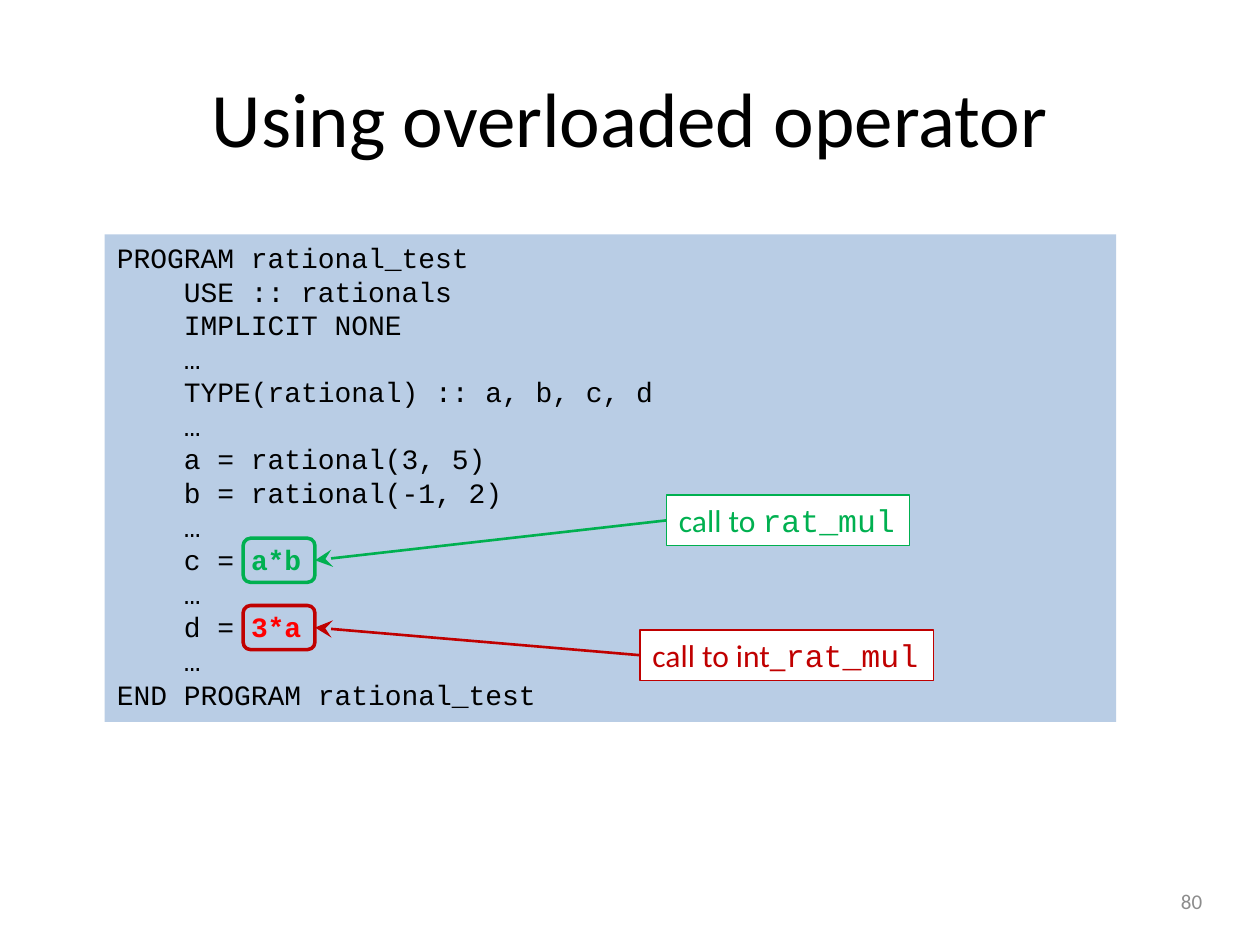
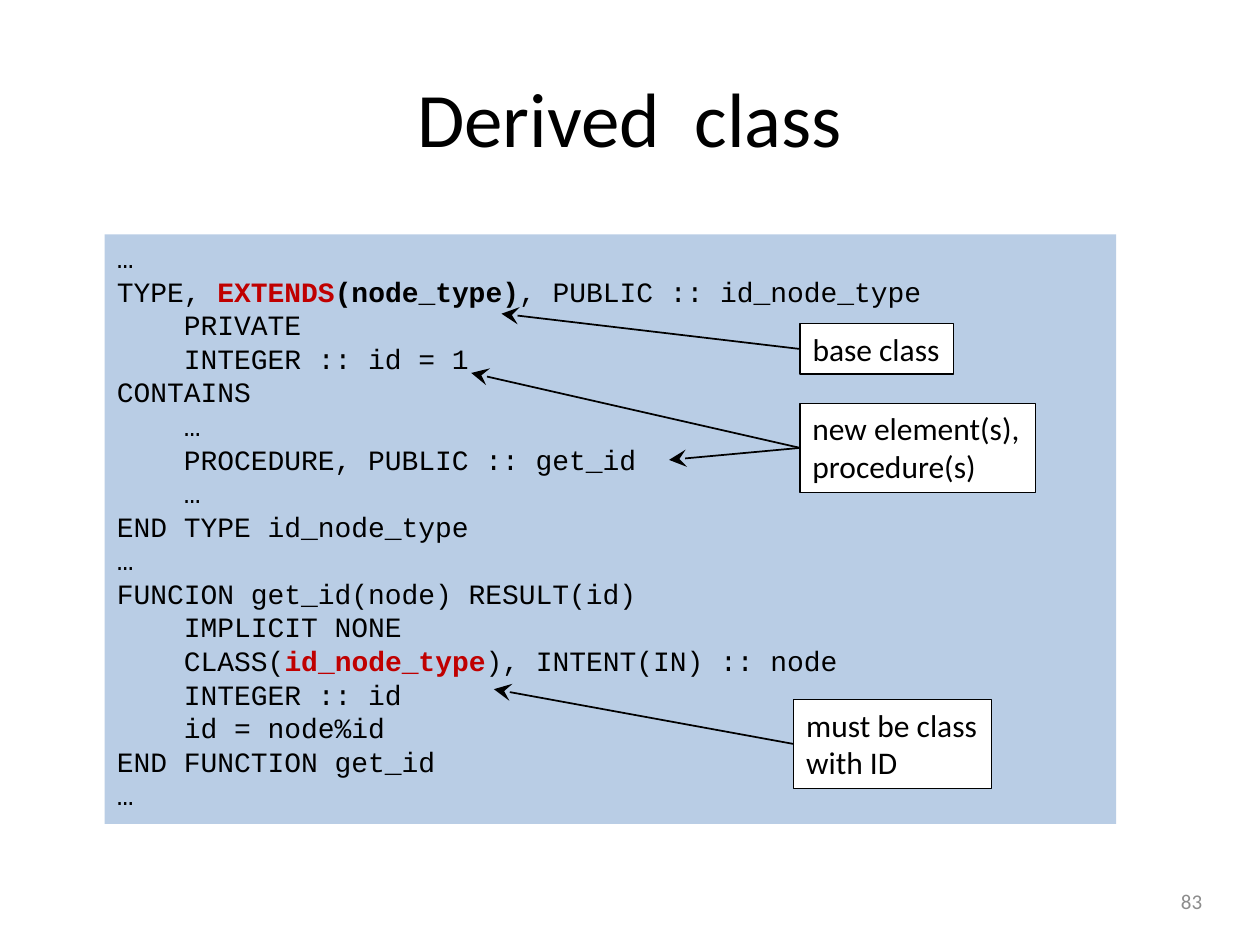
from lxml.etree import SubElement
from pptx import Presentation
from pptx.dml.color import RGBColor
from pptx.enum.shapes import MSO_CONNECTOR as Connector, MSO_SHAPE as Preset
from pptx.enum.text import MSO_ANCHOR as Anchor, MSO_AUTO_SIZE as AutoSize, PP_ALIGN as Align
from pptx.oxml.ns import qn
from pptx.util import Inches, Pt

COLOURS = {
    "black": "000000", "white": "FFFFFF", "grey": "8C8C8C", "code": "B9CDE5",
    "green": "00B050", "red": "FF0000", "dark_red": "C00000",
}
BODY, MONO = "Calibri", "Courier New"

# A code line is a string, or a list whose (text, colour) pairs are bold.
# A callout points at the ring round a code row, or at free points.
SLIDES = [
    {
        "title": "Using overloaded operator",
        "number": "80",
        "code": [
            "PROGRAM rational_test",
            "    USE :: rationals",
            "    IMPLICIT NONE",
            "    …",
            "    TYPE(rational) :: a, b, c, d",
            "    …",
            "    a = rational(3, 5)",
            "    b = rational(-1, 2)",
            "    …",
            ["    c = ", ("a*b", "green")],
            "    …",
            ["    d = ", ("3*a", "red")],
            "    …",
            "END PROGRAM rational_test",
        ],
        "callouts": [
            {"label": "call to ", "procedure": "rat_mul", "at": (5.29, 3.93),
             "width": 1.93, "colour": "green", "ring_row": 9},
            {"label": "call to int_", "procedure": "rat_mul", "at": (5.08, 5.0),
             "width": 2.33, "colour": "dark_red", "ring_row": 11},
        ],
    },
    {
        "title": "Derived  class",
        "number": "83",
        "code": [
            "…",
            ["TYPE, ", ("EXTENDS", "dark_red"), ("(node_type)", "black"),
             ", PUBLIC :: id_node_type"],
            "    PRIVATE",
            "    INTEGER :: id = 1",
            "CONTAINS",
            "    …",
            "    PROCEDURE, PUBLIC :: get_id",
            "    …",
            "END TYPE id_node_type",
            "…",
            "FUNCION get_id(node) RESULT(id)",
            "    IMPLICIT NONE",
            ["    CLASS(", ("id_node_type", "dark_red"), "), INTENT(IN) :: node"],
            "    INTEGER :: id",
            "    id = node%id",
            "END FUNCTION get_id",
            "…",
        ],
        "callouts": [
            {"label": "base class", "at": (6.35, 2.57), "width": 1.22,
             "targets": [(3.98, 2.49)]},
            {"label": "new element(s),\nprocedure(s)", "at": (6.35, 3.2), "width": 1.87,
             "targets": [(3.74, 2.96), (5.31, 3.65)]},
            {"label": "must be class\nwith ID", "at": (6.3, 5.55), "width": 1.57,
             "targets": [(3.92, 5.47)]},
        ],
    },
]

CODE_LEFT, CODE_TOP, CODE_WIDTH = 0.83, 1.86, 8.03
CODE_LINE, CALLOUT_LINE = 0.27, 0.31
PADDING = 0.09  # above and below the lines of a box, together
ROW_PITCH, TEXT_INSET = 0.267, 0.05
RING_LEFT, RING_WIDTH, RING_HEIGHT = 1.93, 0.57, 0.35


def rgb(colour):
    return RGBColor.from_string(COLOURS[colour])


def write(paragraph, text, *, size, font=BODY, colour="black", bold=False, align=Align.LEFT):
    paragraph.alignment = align
    for index, part in enumerate(text.split("\n")):
        if index:
            paragraph.add_line_break()
        run = paragraph.add_run()
        run.text = part
        run.font.size, run.font.name, run.font.bold = Pt(size), font, bold
        run.font.color.rgb = rgb(colour)


def add_label(slide, text, left, top, width, height, **style):
    frame = slide.shapes.add_textbox(*map(Inches, (left, top, width, height))).text_frame
    frame.word_wrap = True
    frame.vertical_anchor = Anchor.MIDDLE
    write(frame.paragraphs[0], text, **style)


def add_box(slide, left, top, width, height, *, preset=Preset.RECTANGLE, fill=None,
            line=None, weight=0.75):
    box = slide.shapes.add_shape(preset, *map(Inches, (left, top, width, height)))
    box.shadow.inherit = False
    if fill:
        box.fill.solid()
        box.fill.fore_color.rgb = rgb(fill)
    else:
        box.fill.background()
    if line:
        box.line.color.rgb = rgb(line)
        box.line.width = Pt(weight)
    else:
        box.line.fill.background()
    box.text_frame.vertical_anchor = Anchor.TOP
    return box


def add_code(slide, lines):
    height = CODE_LINE * len(lines) + PADDING
    frame = add_box(slide, CODE_LEFT, CODE_TOP, CODE_WIDTH, height, fill="code").text_frame
    frame.word_wrap = True
    frame.auto_size = AutoSize.SHAPE_TO_FIT_TEXT
    for index, line in enumerate(lines):
        paragraph = frame.add_paragraph() if index else frame.paragraphs[0]
        for part in [line] if isinstance(line, str) else line:
            bold = isinstance(part, tuple)
            text, colour = part if bold else (part, "black")
            write(paragraph, text, size=16, font=MONO, colour=colour, bold=bold)


def add_ring(slide, row, colour):
    """Outline the operator expression in a code row."""
    middle = CODE_TOP + TEXT_INSET + ROW_PITCH * (row + 0.5)
    return add_box(slide, RING_LEFT, middle - RING_HEIGHT / 2, RING_WIDTH, RING_HEIGHT,
                   preset=Preset.ROUNDED_RECTANGLE, line=colour, weight=2)


def add_arrow(slide, callout_box, colour, weight, *, ring=None, point=(0, 0)):
    """Point from the left side of a callout to a ring or a free point."""
    arrow = slide.shapes.add_connector(Connector.STRAIGHT, 0, 0, *map(Inches, point))
    arrow.begin_connect(callout_box, 1)
    if ring is not None:
        arrow.end_connect(ring, 3)
    arrow.line.color.rgb = rgb(colour)
    arrow.line.width = Pt(weight)
    SubElement(arrow.line._get_or_add_ln(), qn("a:tailEnd"), type="stealth", w="lg", len="lg")
    SubElement(arrow._element.spPr, qn("a:effectLst"))


def add_callout(slide, callout):
    colour = callout.get("colour", "black")
    ring = add_ring(slide, callout["ring_row"], colour) if "ring_row" in callout else None
    label = callout["label"]
    height = CALLOUT_LINE * len(label.split("\n")) + PADDING
    box = add_box(slide, *callout["at"], callout["width"], height, fill="white", line=colour)
    box.text_frame.word_wrap = False
    box.text_frame.auto_size = AutoSize.SHAPE_TO_FIT_TEXT
    paragraph = box.text_frame.paragraphs[0]
    write(paragraph, label, size=18, colour=colour)
    if "procedure" in callout:
        write(paragraph, callout["procedure"], size=18, font=MONO, colour=colour)
    if ring is not None:
        add_arrow(slide, box, colour, 1.5, ring=ring)
    for point in callout.get("targets", []):
        add_arrow(slide, box, colour, 1, point=point)


def main():
    deck = Presentation()
    deck.slide_width, deck.slide_height = Inches(10), Inches(7.5)
    for content in SLIDES:
        slide = deck.slides.add_slide(deck.slide_layouts[6])
        add_label(slide, content["title"], 0.5, 0.3, 9, 1.25, size=44, align=Align.CENTER)
        add_label(slide, content["number"], 7.31, 6.95, 2.33, 0.4, size=12, colour="grey",
                  align=Align.RIGHT)
        add_code(slide, content["code"])
        for callout in content["callouts"]:
            add_callout(slide, callout)
    deck.save("out.pptx")


if __name__ == "__main__":
    main()
